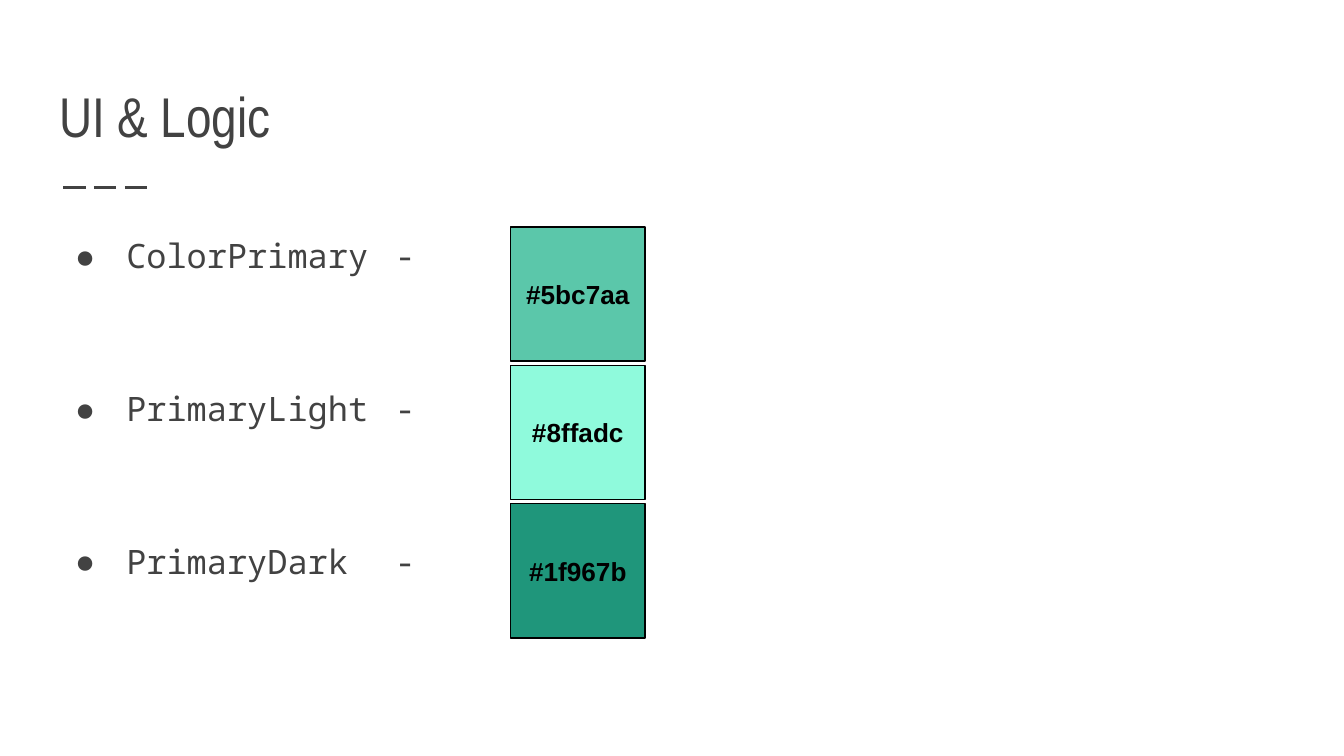
from lxml.etree import SubElement
from pptx import Presentation
from pptx.dml.color import RGBColor
from pptx.enum.dml import MSO_LINE
from pptx.enum.shapes import MSO_CONNECTOR, MSO_SHAPE
from pptx.enum.text import MSO_ANCHOR, PP_ALIGN
from pptx.oxml.ns import qn
from pptx.util import Inches, Pt

COLS, ROWS = 100, 56.25
UNIT = Inches(0.1)
LEFT, WIDE = 3.41, 93.2
MONO = "Noto Sans Mono"
HEX = {
    "ink": "424242",
    "edge": "000000",
    "ColorPrimary": "5bc7aa",
    "PrimaryLight": "8ffadc",
    "PrimaryDark": "1f967b",
}
SHADES = ["ColorPrimary", "PrimaryLight", "PrimaryDark"]


def grid(*cells):
    return [round(cell * UNIT) for cell in cells]


def tint(name):
    return RGBColor.from_string(HEX[name].upper())


def add_bullet(para, font, size):
    props = para._p.get_or_add_pPr()
    props.set("marL", str(Inches(0.5)))
    props.set("indent", str(-Inches(0.38)))
    color = SubElement(props, qn("a:buClr"))
    SubElement(color, qn("a:srgbClr")).set("val", HEX["ink"])
    SubElement(props, qn("a:buSzPts")).set("val", str(size * 100))
    SubElement(props, qn("a:buFont")).set("typeface", font)
    SubElement(props, qn("a:buChar")).set("char", "●")
    stop = SubElement(SubElement(props, qn("a:tabLst")), qn("a:tab"))
    stop.set("pos", str(Inches(2.5)))
    stop.set("algn", "l")


def write(shape, lines, font="Arial", size=14, color="ink", bold=False,
          align=PP_ALIGN.LEFT, anchor=MSO_ANCHOR.TOP, bullet=False,
          lead=1.0, gap=0):
    frame = shape.text_frame
    frame.word_wrap = True
    frame.vertical_anchor = anchor
    frame.margin_left = frame.margin_right = UNIT
    frame.margin_top = frame.margin_bottom = UNIT
    for index, line in enumerate(lines):
        para = frame.add_paragraph() if index else frame.paragraphs[0]
        para.alignment = align
        para.line_spacing = lead
        if index:
            para.space_before = Pt(gap)
        if bullet:
            add_bullet(para, font, size)
        run = para.add_run()
        run.text = line
        run.font.name = font
        run.font.size = Pt(size)
        run.font.bold = bold
        run.font.color.rgb = tint(color)


def add_text(slide, box, lines, **form):
    write(slide.shapes.add_textbox(*grid(*box)), lines, **form)


def add_dash(slide, start, end):
    rule = slide.shapes.add_connector(MSO_CONNECTOR.STRAIGHT, *grid(*start, *end))
    rule.line.color.rgb = tint("ink")
    rule.line.width = Pt(1.5)
    rule.line.dash_style = MSO_LINE.LONG_DASH
    SubElement(rule._element.spPr, qn("a:effectLst"))


def add_swatch(slide, box, name):
    swatch = slide.shapes.add_shape(MSO_SHAPE.RECTANGLE, *grid(*box))
    swatch.shadow.inherit = False
    swatch.fill.solid()
    swatch.fill.fore_color.rgb = tint(name)
    swatch.line.color.rgb = tint("edge")
    swatch.line.width = Pt(0.75)
    write(swatch, ["#" + HEX[name]], color="edge", bold=True,
          align=PP_ALIGN.CENTER, anchor=MSO_ANCHOR.MIDDLE)


def main():
    deck = Presentation()
    deck.slide_width, deck.slide_height = grid(COLS, ROWS)
    slide = deck.slides.add_slide(deck.slide_layouts[6])
    add_dash(slide, (4.7, 13.94), (11.4, 13.94))
    add_text(slide, (LEFT, 4.1, WIDE, 8), ["UI & Logic"],
             font="Arial Narrow", size=30, anchor=MSO_ANCHOR.BOTTOM)
    add_text(slide, (LEFT, 16.06, WIDE, 33.9), [name + "\t-" for name in SHADES],
             font=MONO, size=18, bullet=True, lead=1.15, gap=57)
    side, step = 10, 10.3
    for index, name in enumerate(SHADES):
        add_swatch(slide, (38, 16.88 + index * step, side, side), name)
    deck.save("out.pptx")


if __name__ == "__main__":
    main()
